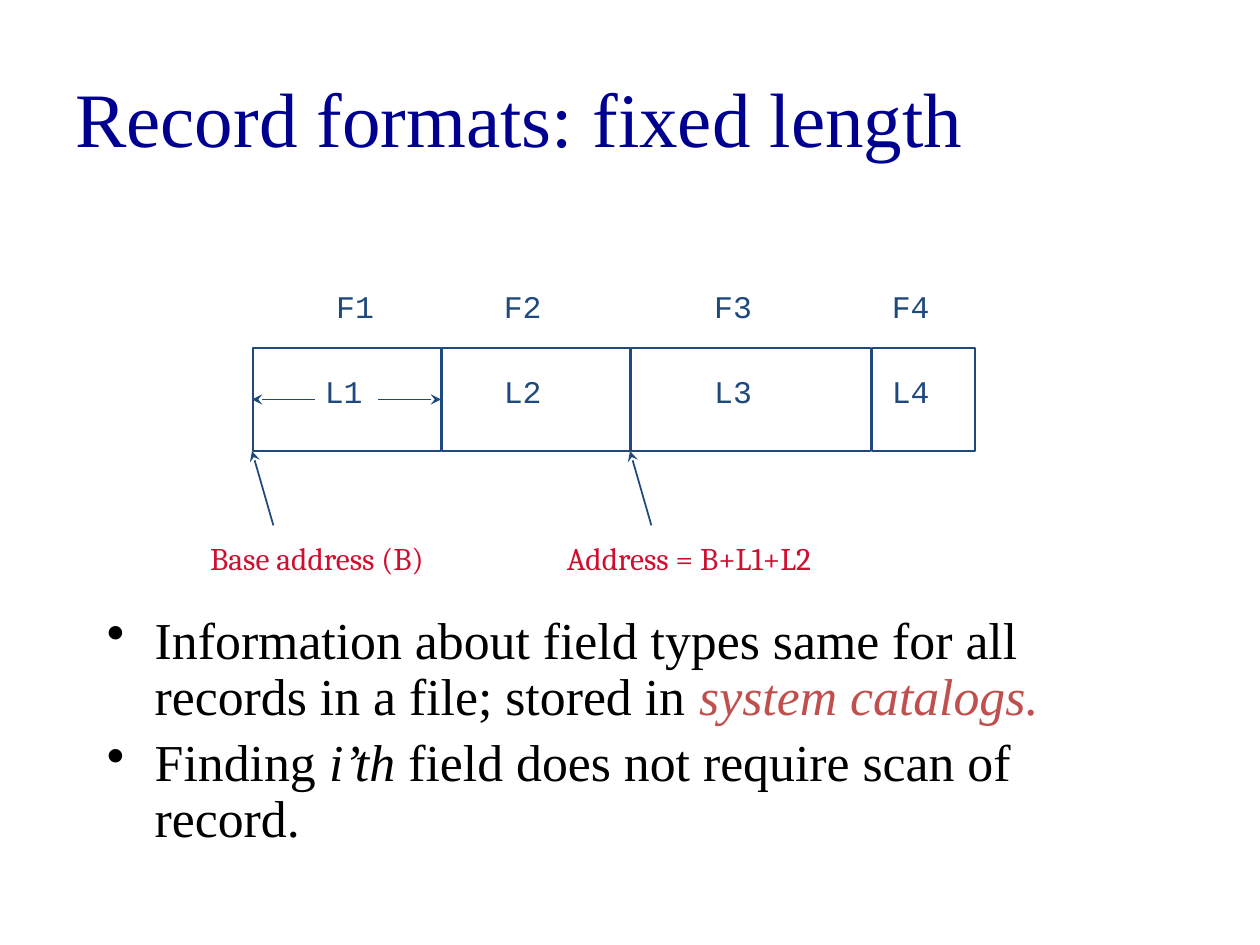
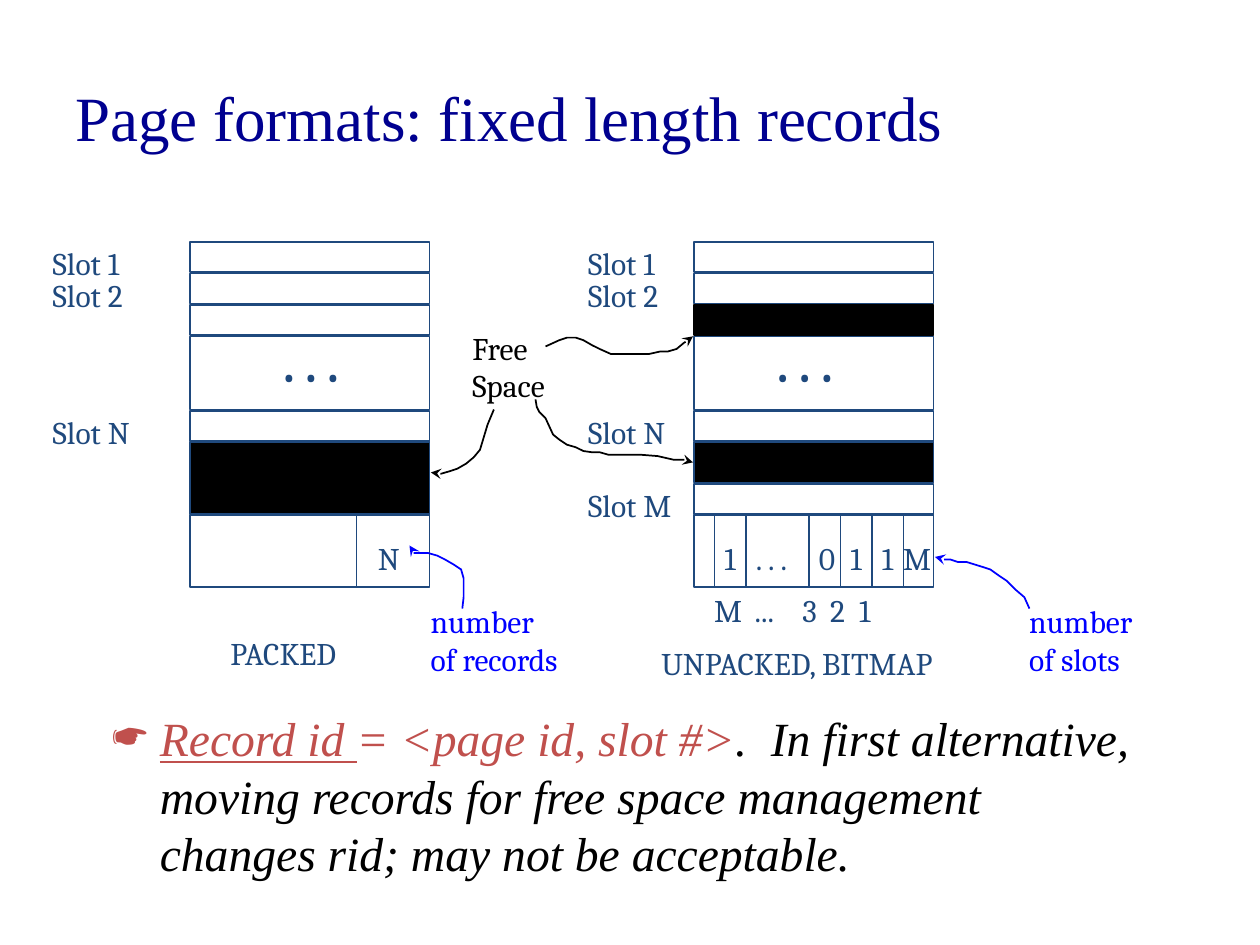
"""Build two slides on record formats and page formats."""
from dataclasses import dataclass
from itertools import accumulate

from lxml import etree
from pptx import Presentation
from pptx import util as u
from pptx.dml import color as col
from pptx.enum import shapes, text
from pptx.oxml import ns

NAVY, BLUE, INK = "000090", "1F497D", "000000"
RED, ROSE, BRIGHT = "CF0E30", "C0504D", "0000FF"
TIMES, SERIF, MONO = "Times New Roman", "Cambria", "Courier New"


@dataclass
class Label:
    words: str
    left: float
    top: float
    width: float
    height: float = 0.4
    hue: str = BLUE
    font: str = SERIF
    size: float = 18
    bold: bool = False


@dataclass
class Part:
    words: str
    hue: str = INK
    slant: bool = False
    under: bool = False


@dataclass
class Row:
    pitch: float
    fill: str = ""
    edge: str = BLUE


def paint(hue: str) -> col.RGBColor:
    return col.RGBColor.from_string(hue)


def style(run, font: str, size: float, hue: str, bold: bool = False) -> None:
    run.font.name = font
    run.font.size = u.Pt(size)
    run.font.color.rgb = paint(hue)
    run.font.bold = bold


def add_node(root, tag: str, **attrs: str):
    return etree.SubElement(root, ns.qn(tag), attrs)


def add_label(slide, item: Label):
    box = slide.shapes.add_textbox(*map(u.Inches, (item.left, item.top, item.width, item.height)))
    frame = box.text_frame
    frame.word_wrap = False
    frame.auto_size = text.MSO_AUTO_SIZE.SHAPE_TO_FIT_TEXT
    frame.text = item.words
    for para in frame.paragraphs:
        for run in para.runs:
            style(run, item.font, item.size, item.hue, item.bold)
    return box


def add_title(slide, words: str, size: float) -> None:
    box = add_label(slide, Label(words, 0.5, 0.3, 9, 1.25, NAVY, TIMES, size))
    frame = box.text_frame
    frame.word_wrap = True
    frame.auto_size = text.MSO_AUTO_SIZE.NONE
    frame.vertical_anchor = text.MSO_ANCHOR.MIDDLE


def add_body(slide, place: tuple, paras: list[list[Part]], mark: str, size: float, space: float) -> None:
    frame = slide.shapes.add_textbox(*map(u.Inches, place)).text_frame
    frame.word_wrap = True
    for count, parts in enumerate(paras):
        para = frame.add_paragraph() if count else frame.paragraphs[0]
        para.line_spacing = space
        para.space_before = u.Pt(size * 0.2)
        props = para._p.get_or_add_pPr()
        props.set("marL", str(u.Inches(0.38)))
        props.set("indent", str(u.Inches(-0.38)))
        add_node(props, "a:buChar", char=mark)
        for part in parts:
            run = para.add_run()
            run.text = part.words
            style(run, TIMES, size, part.hue)
            run.font.italic = part.slant
            run.font.underline = part.under


def add_rect(slide, left: float, top: float, width: float, height: float, fill: str = "", edge: str = BLUE) -> None:
    rect = slide.shapes.add_shape(shapes.MSO_SHAPE.RECTANGLE, *map(u.Inches, (left, top, width, height)))
    rect.shadow.inherit = False
    if fill:
        rect.fill.solid()
        rect.fill.fore_color.rgb = paint(fill)
    else:
        rect.fill.background()
    stroke(rect, edge)


def stroke(shape, hue: str, arrow: bool = False) -> None:
    shape.line.color.rgb = paint(hue)
    shape.line.width = u.Pt(1)
    if arrow:
        add_node(shape.line._get_or_add_ln(), "a:tailEnd", type="stealth")


def add_line(slide, start: tuple, end: tuple, arrow: bool = False) -> None:
    line = slide.shapes.add_connector(shapes.MSO_CONNECTOR.STRAIGHT, *map(u.Inches, start + end))
    stroke(line, BLUE, arrow)
    add_node(line._element.spPr, "a:effectLst")


def add_curve(slide, points: list[tuple], hue: str) -> None:
    spots = [(u.Inches(x), u.Inches(y)) for x, y in points]
    pen = slide.shapes.build_freeform(*spots[0])
    pen.add_line_segments(spots[1:], close=False)
    curve = pen.convert_to_shape()
    curve.shadow.inherit = False
    curve.fill.background()
    stroke(curve, hue, True)


def add_page(slide, left: float, rows: list[Row], splits: list[float]) -> None:
    tops = accumulate((row.pitch for row in rows), initial=1.92)
    for row, top in zip(rows, tops):
        add_rect(slide, left, top, 1.9, row.pitch - 0.01, row.fill, row.edge)
    for x in splits:
        add_line(slide, (x, 4.08), (x, 4.67))


def draw_record(slide) -> None:
    add_title(slide, "Record formats: fixed length", 44)
    for left, width in ((2.01, 1.49), (3.51, 1.49), (5.01, 1.9), (6.92, 0.82)):
        add_rect(slide, left, 2.76, width, 0.82)
    fields = ((2.57, 2.48), (3.9, 3.9), (5.57, 5.57), (6.98, 6.98))
    for count, (name, length) in enumerate(fields, 1):
        add_label(slide, Label(f"F{count}", name, 2.23, 0.6, 0.5, font=MONO))
        add_label(slide, Label(f"L{count}", length, 2.9, 0.6, 0.5, font=MONO))
    for start, end in (((2.5, 3.17), (2, 3.17)), ((3, 3.17), (3.5, 3.17)),
                       ((2.17, 4.17), (2, 3.58)), ((5.17, 4.17), (5, 3.58))):
        add_line(slide, start, end, True)
    add_label(slide, Label("Base address (B)", 1.57, 4.23, 2.01, hue=RED))
    add_label(slide, Label("Address = B+L1+L2", 4.4, 4.23, 2.42, hue=RED))
    add_body(slide, (0.75, 4.83, 8, 2), [
        [Part("Information about field types same for all records in a file; stored in "),
         Part("system catalogs.", ROSE, True)],
        [Part("Finding "), Part("i’th ", slant=True), Part("field does not require scan of record.")],
    ], "•", 29.6, 0.9)


def draw_pages(slide) -> None:
    add_title(slide, "Page formats: fixed length records", 36)
    add_body(slide, (0.79, 5.58, 8.42, 1.58), [[
        Part("Record id ", ROSE, True, True),
        Part("= <page id, slot #>", ROSE, True),
        Part(".  In first alternative, moving records for free space management "
             "changes rid; may not be acceptable.", slant=True),
    ]], "☛", 27.2, 1.0)
    slot, gap, foot = Row(0.25), Row(0.59), Row(0.58)
    add_page(slide, 1.51, [slot, slot, slot, gap, slot, Row(0.58, INK), foot], [2.83])
    add_page(slide, 5.51, [slot, slot, Row(0.25, INK, INK), gap, slot, Row(0.33, INK), slot, foot],
             [5.67, 5.92, 6.42, 6.67, 6.92, 7.17])
    for left, dots in ((0.32, 2.15), (4.57, 6.07)):
        for name, top in (("1", 1.89), ("2", 2.14), ("N", 3.23)):
            add_label(slide, Label(f"Slot {name}", left, top, 0.85))
        add_label(slide, Label(". . .", dots, 2.6, 0.68, 0.56, size=28, bold=True))
    add_label(slide, Label("Slot M", 4.57, 3.81, 0.92))
    for words, left, width in (("N", 2.9, 0.41), ("1", 5.65, 0.32), (". . .", 5.9, 0.51), ("0", 6.4, 0.32),
                               ("1", 6.65, 0.32), ("1", 6.9, 0.32), ("M", 7.07, 0.43)):
        add_label(slide, Label(words, left, 4.23, width))
    scale = add_label(slide, Label("M\t...\t3\t2\t1", 5.57, 4.64, 1.62))
    scale.text_frame.word_wrap = True
    tabs = add_node(scale.text_frame.paragraphs[0]._p.get_or_add_pPr(), "a:tabLst")
    for stop in (0.32, 0.7, 0.92, 1.15):
        add_node(tabs, "a:tab", pos=str(u.Inches(stop)), algn="l")
    for item in (Label("PACKED", 1.73, 4.98, 1.25), Label("UNPACKED, BITMAP", 5.15, 5.06, 2.75),
                 Label("Free\nSpace", 3.65, 2.56, 0.84, 0.7, INK),
                 Label("number\nof records", 3.32, 4.73, 1.3, 0.7, BRIGHT),
                 Label("number\nof slots", 8.07, 4.73, 1.07, 0.7, BRIGHT)):
        add_label(slide, item)
    add_curve(slide, [(4.33, 2.75), (4.44, 2.7), (4.5, 2.68), (4.57, 2.68), (4.63, 2.7), (4.7, 2.74),
                      (4.76, 2.77), (4.85, 2.81), (5.15, 2.81), (5.24, 2.79), (5.3, 2.79),
                      (5.37, 2.77), (5.43, 2.72), (5.5, 2.68), (5.5, 2.67)], INK)
    add_curve(slide, [(4.25, 3.17), (4.26, 3.23), (4.28, 3.27), (4.33, 3.32), (4.39, 3.45), (4.44, 3.49),
                      (4.5, 3.53), (4.57, 3.55), (4.63, 3.58), (4.7, 3.59), (4.76, 3.59), (4.83, 3.61),
                      (5.09, 3.61), (5.22, 3.62), (5.35, 3.65), (5.48, 3.65), (5.5, 3.67)], INK)
    add_curve(slide, [(3.92, 3.25), (3.87, 3.37), (3.81, 3.57), (3.76, 3.63), (3.7, 3.68), (3.63, 3.72),
                      (3.57, 3.74), (3.5, 3.76), (3.44, 3.76), (3.42, 3.75)], INK)
    add_curve(slide, [(3.67, 4.83), (3.68, 4.74), (3.68, 4.59), (3.66, 4.52), (3.6, 4.48), (3.53, 4.44),
                      (3.47, 4.41), (3.4, 4.39), (3.27, 4.39), (3.25, 4.33)], BRIGHT)
    add_curve(slide, [(8.17, 4.83), (8.13, 4.74), (8.06, 4.68), (7.99, 4.61), (7.93, 4.57), (7.86, 4.52),
                      (7.8, 4.5), (7.67, 4.46), (7.6, 4.46), (7.54, 4.44), (7.47, 4.44), (7.42, 4.42)], BRIGHT)


deck = Presentation()
deck.slide_width, deck.slide_height = u.Inches(10), u.Inches(7.5)
for draw in (draw_record, draw_pages):
    draw(deck.slides.add_slide(deck.slide_layouts[6]))
deck.save("out.pptx")
